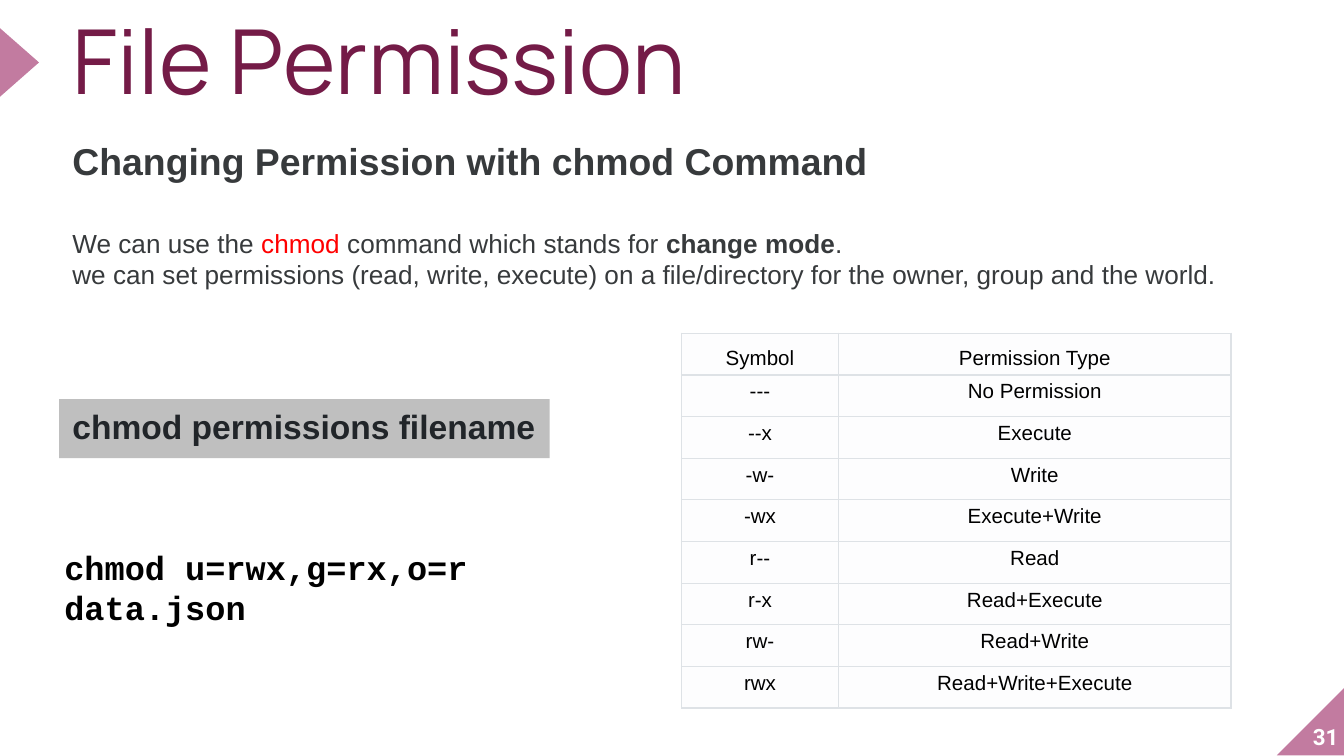
from dataclasses import dataclass

from lxml import etree
from pptx import Presentation
from pptx.dml.color import RGBColor
from pptx.enum import shapes, text
from pptx.oxml import ns
from pptx.util import Inches, Pt

WHITE = RGBColor(0xFF, 0xFF, 0xFF)
BLACK = RGBColor(0x00, 0x00, 0x00)
PINK = RGBColor(0xC2, 0x7B, 0xA0)
PLUM = RGBColor(0x74, 0x1B, 0x47)
SLATE = RGBColor(0x37, 0x3A, 0x3C)
INK = RGBColor(0x21, 0x25, 0x29)
RED = RGBColor(0xFF, 0x00, 0x00)
GREY = RGBColor(0xBF, 0xBF, 0xBF)
CELL = RGBColor(0xFD, 0xFD, 0xFE)
BORDER = RGBColor(0xDE, 0xE2, 0xE6)

SLIDE_WIDTH = Inches(10)
SLIDE_HEIGHT = SLIDE_WIDTH * 9 // 16

LEFT, TOP = text.PP_ALIGN.LEFT, text.MSO_ANCHOR.TOP
BOTTOM = text.MSO_ANCHOR.BOTTOM


@dataclass(frozen=True)
class Box:
    left: float
    top: float
    width: float
    height: float

    def lengths(self):
        return [Inches(n) for n in (self.left, self.top, self.width, self.height)]


@dataclass(frozen=True)
class Style:
    size: float
    color: RGBColor
    name: str = "Arial"
    bold: bool = False
    align: text.PP_ALIGN = LEFT


@dataclass(frozen=True)
class Run:
    words: str
    color: RGBColor | None = None
    bold: bool | None = None


@dataclass(frozen=True)
class Label:
    box: Box
    paragraphs: list[list[Run]]
    style: Style
    fill: RGBColor | None = None
    anchor: text.MSO_ANCHOR = TOP
    inset_x: float = 0.1
    inset_y: float = 0.05


@dataclass(frozen=True)
class Accent:
    box: Box
    kind: shapes.MSO_SHAPE
    rotation: float


ACCENTS = [
    Accent(Box(9.5, 5.11, 0.51, 0.51), shapes.MSO_SHAPE.RIGHT_TRIANGLE, 270),
    Accent(Box(-0.11, 0.32, 0.51, 0.29), shapes.MSO_SHAPE.ISOSCELES_TRIANGLE, 90),
]

LABELS = [
    Label(Box(9.46, 5.07, 0.5, 0.51), [[Run("31")]],
          Style(12, WHITE, "Roboto", True, text.PP_ALIGN.RIGHT),
          anchor=BOTTOM, inset_x=0, inset_y=0),
    Label(Box(0.44, 0.98, 6.81, 0.44),
          [[Run("Changing Permission with chmod Command")]],
          Style(20, SLATE, bold=True)),
    Label(Box(0.44, 1.64, 9.33, 0.57),
          [[Run("We can use the "), Run("chmod", color=RED),
            Run(" command which stands for "), Run("change mode", bold=True), Run(".")],
           [Run("we can set permissions (read, write, execute) on a file/directory "
                "for the owner, group and the world.")]],
          Style(14, SLATE), fill=WHITE, anchor=text.MSO_ANCHOR.MIDDLE),
    Label(Box(0.44, 2.97, 3.65, 0.44), [[Run("chmod permissions filename")]],
          Style(18, INK, bold=True), fill=GREY),
    Label(Box(0.38, 3.97, 4.39, 0.69), [[Run("chmod u=rwx,g=rx,o=r data.json")]],
          Style(18, BLACK, "Courier New", True), inset_y=0.1),
]

PERMISSIONS = [
    ("Symbol", "Permission Type"),
    ("---", "No Permission"),
    ("--x", "Execute"),
    ("-w-", "Write"),
    ("-wx", "Execute+Write"),
    ("r--", "Read"),
    ("r-x", "Read+Execute"),
    ("rw-", "Read+Write"),
    ("rwx", "Read+Write+Execute"),
]
COLUMN_WIDTHS = (1.17, 2.92)
ROW_HEIGHT = 0.31
CELL_STYLE = Style(11, BLACK, align=text.PP_ALIGN.CENTER)


def format_paragraph(paragraph, style: Style) -> None:
    paragraph.alignment = style.align
    font = paragraph.font
    font.size, font.name, font.bold = Pt(style.size), style.name, style.bold
    font.color.rgb = style.color


def set_insets(target, x: float, y: float) -> None:
    target.margin_left = target.margin_right = Inches(x)
    target.margin_top = target.margin_bottom = Inches(y)


def add_accent(slide, accent: Accent) -> None:
    shape = slide.shapes.add_shape(accent.kind, *accent.box.lengths())
    shape.shadow.inherit = False
    shape.rotation = accent.rotation
    shape.fill.solid()
    shape.fill.fore_color.rgb = PINK
    shape.line.fill.background()


def add_label(slide, label: Label) -> None:
    shape = slide.shapes.add_textbox(*label.box.lengths())
    if label.fill is not None:
        shape.fill.solid()
        shape.fill.fore_color.rgb = label.fill
    frame = shape.text_frame
    frame.word_wrap = True
    frame.vertical_anchor = label.anchor
    set_insets(frame, label.inset_x, label.inset_y)
    for index, runs in enumerate(label.paragraphs):
        paragraph = frame.add_paragraph() if index else frame.paragraphs[0]
        format_paragraph(paragraph, label.style)
        for item in runs:
            run = paragraph.add_run()
            run.text = item.words
            if item.color is not None:
                run.font.color.rgb = item.color
            if item.bold is not None:
                run.font.bold = item.bold


def set_title(slide) -> None:
    title = slide.shapes.title
    title.left, title.top, title.width, title.height = Box(0.54, 0.19, 6.17, 0.69).lengths()
    frame = title.text_frame
    frame.text = "File Permission"
    frame.auto_size = text.MSO_AUTO_SIZE.NONE
    frame.vertical_anchor = TOP
    set_insets(frame, 0, 0)
    format_paragraph(frame.paragraphs[0], Style(48, PLUM, "Manrope"))
    frame.paragraphs[0].line_spacing = 0.8


def add_borders(cell) -> None:
    properties = cell._tc.get_or_add_tcPr()
    for index, side in enumerate(("lnL", "lnR", "lnT", "lnB")):
        line = etree.Element(ns.qn(f"a:{side}"), w=str(Pt(0.75)))
        fill = etree.SubElement(line, ns.qn("a:solidFill"))
        etree.SubElement(fill, ns.qn("a:srgbClr"), val=str(BORDER))
        properties.insert(index, line)


def add_permission_table(slide) -> None:
    box = Box(5.07, 2.48, sum(COLUMN_WIDTHS), ROW_HEIGHT * len(PERMISSIONS))
    table = slide.shapes.add_table(
        len(PERMISSIONS), len(COLUMN_WIDTHS), *box.lengths()).table
    table.first_row = table.horz_banding = False
    for column, width in zip(table.columns, COLUMN_WIDTHS):
        column.width = Inches(width)
    for index, (row, values) in enumerate(zip(table.rows, PERMISSIONS)):
        row.height = Inches(ROW_HEIGHT)
        for cell, value in zip(row.cells, values):
            cell.text = value
            cell.vertical_anchor = TOP if index else BOTTOM
            set_insets(cell, 0.08, 0.04)
            cell.fill.solid()
            cell.fill.fore_color.rgb = CELL
            format_paragraph(cell.text_frame.paragraphs[0], CELL_STYLE)
            add_borders(cell)


def main() -> None:
    presentation = Presentation()
    presentation.slide_width, presentation.slide_height = SLIDE_WIDTH, SLIDE_HEIGHT
    slide = presentation.slides.add_slide(presentation.slide_layouts[5])
    for accent in ACCENTS:
        add_accent(slide, accent)
    set_title(slide)
    for label in LABELS:
        add_label(slide, label)
    add_permission_table(slide)
    presentation.save("out.pptx")


if __name__ == "__main__":
    main()
